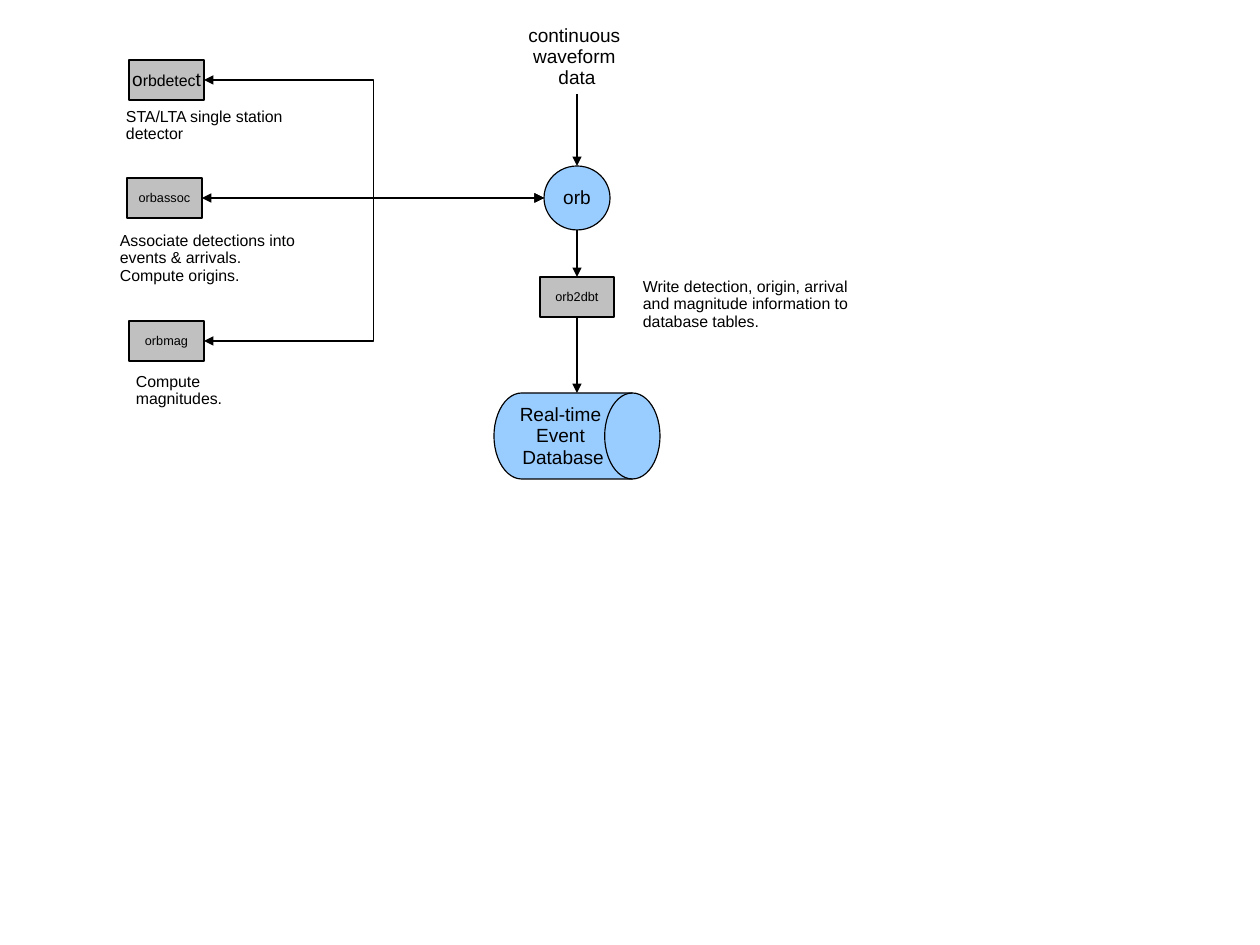
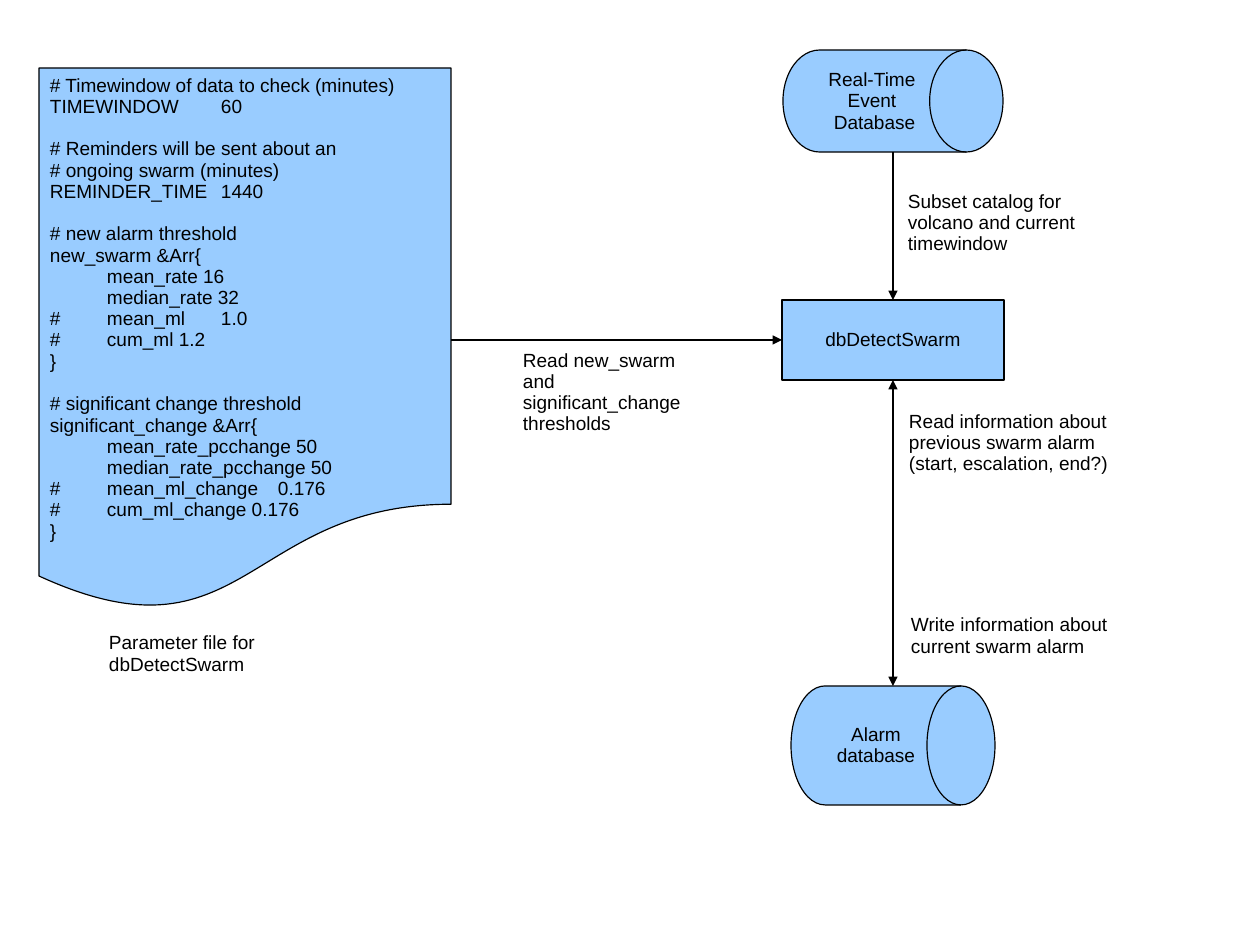
from dataclasses import dataclass
from typing import Any

from lxml.etree import SubElement
from pptx import Presentation
from pptx.dml.color import RGBColor
from pptx.enum.shapes import MSO_CONNECTOR, MSO_SHAPE
from pptx.enum.text import MSO_ANCHOR, PP_ALIGN
from pptx.oxml.ns import qn
from pptx.util import Pt

PX = 8000
COLORS = {"data": "99CCFF", "module": "C0C0C0", "ink": "000000"}
TOP, LEFT, BOTTOM, RIGHT = range(4)
INSETS = {
    "margin_left": 11 * PX,
    "margin_right": 11 * PX,
    "margin_top": 7 * PX,
    "margin_bottom": 6 * PX,
}
LABEL = {"word_wrap": False, "vertical_anchor": MSO_ANCHOR.MIDDLE}
CAPTION = {"word_wrap": True, "vertical_anchor": MSO_ANCHOR.TOP}
CENTERED = {"line_spacing": 0.93, "alignment": PP_ALIGN.CENTER}
LEFT_ALIGNED = {"line_spacing": 0.93, "alignment": PP_ALIGN.LEFT}
TAB_STOPS = [57 * n for n in range(1, 8)]

PARAMETERS = [
    """# Timewindow of data to check (minutes)
TIMEWINDOW\t60""",
    """# Reminders will be sent about an
# ongoing swarm (minutes)
REMINDER_TIME\t1440""",
    """# new alarm threshold
new_swarm &Arr{
\tmean_rate 16
\tmedian_rate 32
#\tmean_ml\t1.0
#\tcum_ml 1.2
}""",
    """# significant change threshold
significant_change &Arr{
\tmean_rate_pcchange 50
\tmedian_rate_pcchange 50
#\tmean_ml_change\t0.176
#\tcum_ml_change 0.176
}""",
]


def apply(target, *formats):
    for values in formats:
        for name, value in values.items():
            setattr(target, name, value)


def rgb(name):
    return RGBColor.from_string(COLORS[name])


def write_paragraph(paragraph, runs, style):
    apply(paragraph, style)
    for text, size in runs:
        run = paragraph.add_run()
        run.text = text
        apply(run.font, {"name": "Arial", "size": Pt(size)})
        run.font.color.rgb = rgb("ink")


def write_lines(frame, lines, frame_style, paragraph_style):
    apply(frame, INSETS, frame_style)
    for index, runs in enumerate(lines):
        paragraph = frame.add_paragraph() if index else frame.paragraphs[0]
        write_paragraph(paragraph, runs, paragraph_style)


def split_lines(text, size):
    return [[(line, size)] for line in text.split("\n")]


def add_tab_stops(paragraph):
    stops = SubElement(paragraph._p.get_or_add_pPr(), qn("a:tabLst"))
    for position in TAB_STOPS:
        SubElement(stops, qn("a:tab"), pos=str(position * PX), algn="l")


@dataclass
class Region:
    slide: Any
    left: int
    top: int
    width: int
    height: int

    def spot(self, x, y):
        return (self.left + x) * PX, (self.top + y) * PX

    def node(self, kind, box, color, lines, style=CENTERED):
        x, y, width, height = box
        node = self.slide.shapes.add_shape(
            kind, *self.spot(x, y), width * PX, height * PX)
        node.shadow.inherit = False
        node.fill.solid()
        node.fill.fore_color.rgb = rgb(color)
        node.line.color.rgb = rgb("ink")
        node.line.width = Pt(0.75)
        write_lines(node.text_frame, lines, LABEL, style)
        return node

    def caption(self, box, text, size, style=LEFT_ALIGNED):
        x, y, width, height = box
        caption = self.slide.shapes.add_textbox(
            *self.spot(x, y), width * PX, height * PX)
        write_lines(caption.text_frame, split_lines(text, size), CAPTION, style)

    def arrow(self, start, end, joins=(None, None), both=False,
              kind=MSO_CONNECTOR.STRAIGHT):
        arrow = self.slide.shapes.add_connector(
            kind, *self.spot(*start), *self.spot(*end))
        for connect, join in zip((arrow.begin_connect, arrow.end_connect), joins):
            if join:
                connect(*join)
        arrow.line.color.rgb = rgb("ink")
        arrow.line.width = Pt(0.75)
        line = arrow.line._get_or_add_ln()
        for tag in ("a:headEnd", "a:tailEnd") if both else ("a:tailEnd",):
            SubElement(line, qn(tag), type="triangle")
        SubElement(arrow._element.spPr, qn("a:effectLst"))


def draw_detectors(region):
    hub = (region.width, 138)
    modules = [
        (20, 0, [("o", 12), ("rbdetec", 10), ("t", 12)],
         (6, 41, 211, 40), "STA/LTA single station detector"),
        (18, 118, [("orbassoc", 8)],
         (0, 165, 200, 54),
         "Associate detections into events & arrivals. Compute origins."),
        (20, 261, [("orbmag", 8)],
         (16, 306, 146, 40), "Compute magnitudes."),
    ]
    for x, y, name, caption_box, description in modules:
        module = region.node(
            MSO_SHAPE.FLOWCHART_PROCESS, (x, y, 75, 40), "module", [name])
        region.caption(caption_box, description, 10)
        start = (x + 75, y + 20)
        if start[1] == hub[1]:
            region.arrow(start, hub, ((module, RIGHT), None), both=True)
        else:
            region.arrow(start, hub, both=True, kind=MSO_CONNECTOR.ELBOW)


def draw_orb_flow(region):
    axis = 192
    region.caption((0, 0, 2 * axis, 76), "continuous \nwaveform \ndata", 12, CENTERED)
    region.node(MSO_SHAPE.OVAL, (159, 148, 66, 64), "data", split_lines("orb", 12))
    writer = region.node(MSO_SHAPE.FLOWCHART_PROCESS, (155, 259, 74, 40),
                         "module", split_lines("orb2dbt", 8))
    region.node(MSO_SHAPE.FLOWCHART_DIRECT_ACCESS_STORAGE, (109, 375, 166, 86),
                "data", split_lines("Real-time \nEvent \nDatabase", 12))
    region.caption(
        (247, 253, 237, 54),
        "Write detection, origin, arrival and magnitude information to database tables.",
        10)
    region.arrow((axis, 76), (axis, 148))
    region.arrow((axis, 212), (axis, 259), (None, (writer, TOP)))
    region.arrow((axis, 299), (axis, 375), ((writer, BOTTOM), None))


def draw_parameter_file(region):
    lines = [line for group in PARAMETERS for line in split_lines(group, 12)]
    document = region.node(MSO_SHAPE.FLOWCHART_DOCUMENT, (0, 0, region.width, 544),
                           "data", lines, LEFT_ALIGNED)
    frame = document.text_frame
    frame.vertical_anchor = MSO_ANCHOR.TOP
    group_start = 0
    for group in PARAMETERS:
        if group_start:
            frame.paragraphs[group_start].space_before = Pt(13.4)
        group_start += len(group.split("\n"))
    for paragraph in frame.paragraphs:
        add_tab_stops(paragraph)
    region.caption((59, 558, 286, 54), "Parameter file for\ndbDetectSwarm", 12)
    region.caption((473, 275, 198, 98),
                   "Read new_swarm and significant_change thresholds", 12)


def draw_swarm_detection(region):
    axis = 111
    databases = [
        ((1, 0, 220, 102), "Real-Time \nEvent \nDatabase"),
        ((9, 636, 204, 119), "Alarm\ndatabase"),
    ]
    for box, name in databases:
        region.node(MSO_SHAPE.FLOWCHART_DIRECT_ACCESS_STORAGE, box, "data",
                    split_lines(name, 12))
    detector = region.node(MSO_SHAPE.FLOWCHART_PROCESS, (0, 250, 222, 80),
                           "data", split_lines("dbDetectSwarm", 12))
    captions = [
        ((115, 134, 197, 60), "Subset catalog for volcano and current timewindow"),
        ((116, 354, 246, 69),
         "Read information about\nprevious swarm alarm\n(start, escalation, end?)"),
        ((118, 558, 246, 47), "Write information about\ncurrent swarm alarm"),
    ]
    for box, text in captions:
        region.caption(box, text, 12)
    region.arrow((axis, 102), (axis, 250), (None, (detector, TOP)))
    region.arrow((axis, 330), (axis, 636), ((detector, BOTTOM), None), both=True)
    region.arrow((-331, 290), (0, 290), (None, (detector, LEFT)))


def main():
    presentation = Presentation()
    apply(presentation, {"slide_width": 1260 * PX, "slide_height": 945 * PX})
    layout = presentation.slide_layouts[6]
    slides = [
        [(draw_detectors, (109, 60, 435, 346)), (draw_orb_flow, (385, 18, 484, 461))],
        [(draw_parameter_file, (39, 68, 412, 612)),
         (draw_swarm_detection, (782, 50, 364, 755))],
    ]
    for regions in slides:
        slide = presentation.slides.add_slide(layout)
        for draw, box in regions:
            draw(Region(slide, *box))
    presentation.save("out.pptx")


if __name__ == "__main__":
    main()
